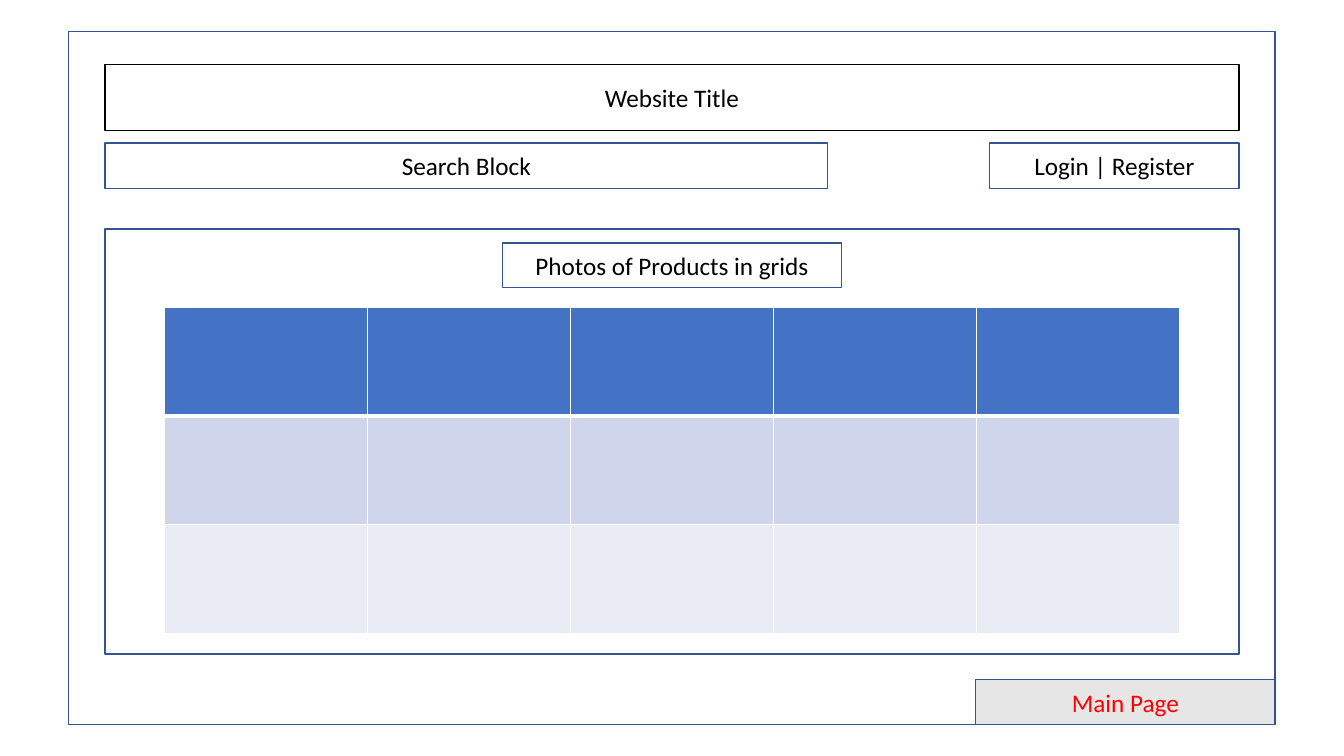
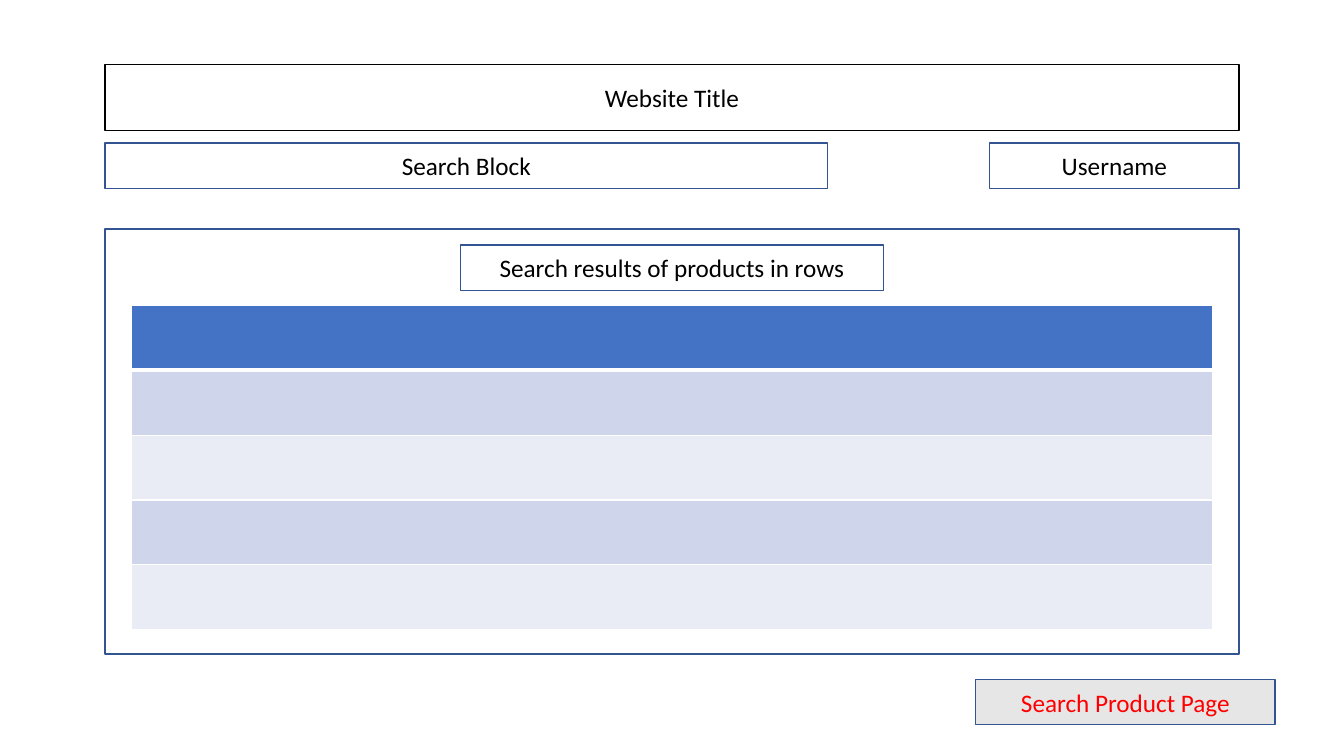
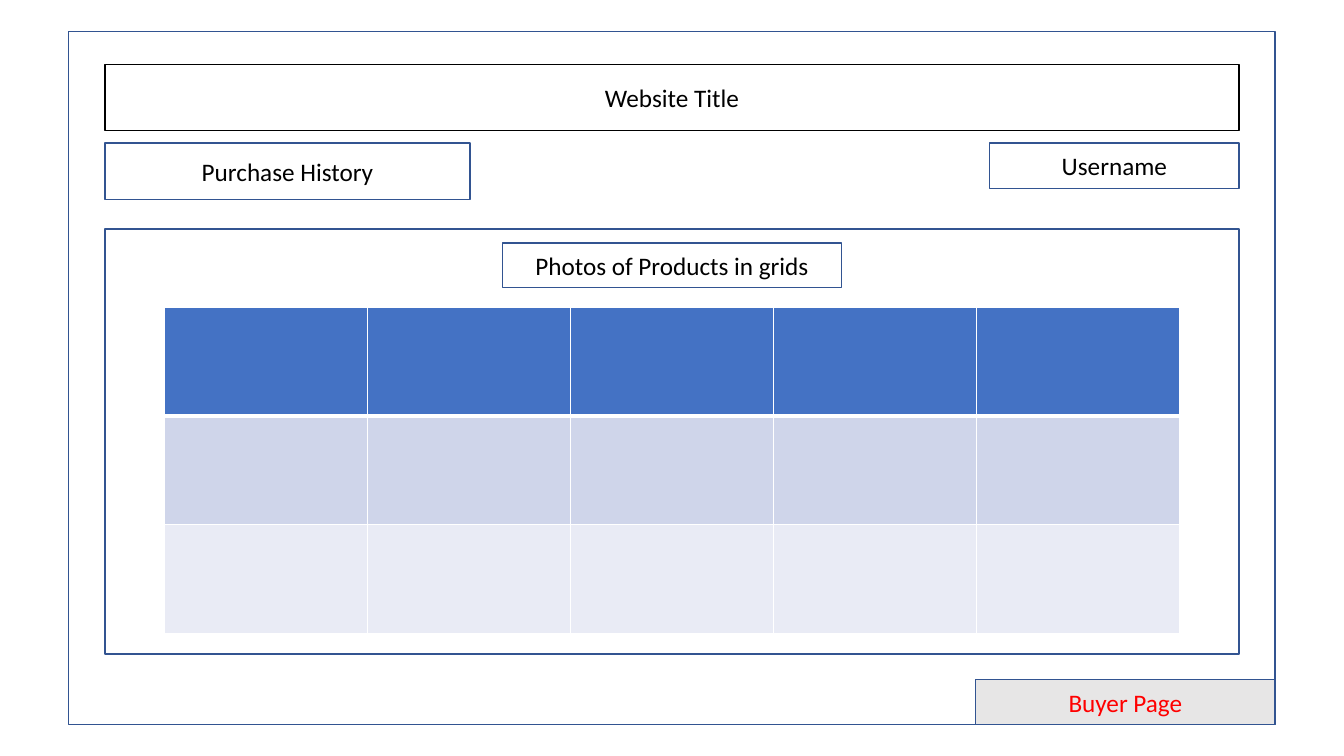
from lxml import etree
from pptx import Presentation
from pptx import util as u
from pptx.dml.color import RGBColor
from pptx.enum import shapes, text
from pptx.oxml.ns import qn

COLORS = {
    "white": "FFFFFF", "black": "000000", "outline": "325491", "red": "FF0000",
    "tag": "E7E6E6", "header": "4472C4", "band": "CFD5EA", "light": "E9EBF5",
}
FONT = "Calibri"
WIDTH, HEIGHT = 960, 540
MARGIN, CONTENT_WIDTH = 75, 810
MENU_TOP, BAR_HEIGHT = 102.2, 32.4


def add_box(slide, bounds, label="", fill="white", line="outline", color="black"):
    box = slide.shapes.add_shape(
        shapes.MSO_SHAPE.RECTANGLE, *[u.Pt(length) for length in bounds])
    box.shadow.inherit = False
    if fill:
        box.fill.solid()
        box.fill.fore_color.rgb = RGBColor.from_string(COLORS[fill])
    else:
        box.fill.background()
    box.line.color.rgb = RGBColor.from_string(COLORS[line])
    box.line.width = u.Pt(1)
    if label:
        frame = box.text_frame
        frame.word_wrap = True
        frame.vertical_anchor = text.MSO_ANCHOR.MIDDLE
        paragraph = frame.paragraphs[0]
        paragraph.text = label
        paragraph.alignment = text.PP_ALIGN.CENTER
        paragraph.font.name = FONT
        paragraph.font.size = u.Pt(18)
        paragraph.font.color.rgb = RGBColor.from_string(COLORS[color])


def add_product_table(slide, top, rows, columns, column_width, row_height):
    width = columns * column_width
    table = slide.shapes.add_table(
        rows, columns, u.Pt((WIDTH - width) / 2), u.Pt(top),
        u.Pt(width), u.Pt(rows * row_height)).table
    for row in range(rows):
        fill = "header" if row == 0 else ("light", "band")[row % 2]
        edges = {"lnL": 1, "lnR": 1,
                 "lnT": 3 if row == 1 else 1, "lnB": 3 if row == 0 else 1}
        for column in range(columns):
            cell = table.cell(row, column)
            properties = cell._tc.get_or_add_tcPr()
            for edge, weight in edges.items():
                border = etree.SubElement(properties, qn("a:" + edge), w=str(u.Pt(weight)))
                solid = etree.SubElement(border, qn("a:solidFill"))
                etree.SubElement(solid, qn("a:srgbClr"), val=COLORS["white"])
            cell.fill.solid()
            cell.fill.fore_color.rgb = RGBColor.from_string(COLORS[fill])


presentation = Presentation()
presentation.slide_width, presentation.slide_height = u.Pt(WIDTH), u.Pt(HEIGHT)

photo_heading = ("Photos of Products in grids", 173.5, 242, 31.8)
result_heading = ("Search results of products in rows", 175, 302.4, BAR_HEIGHT)
photo_grid = (219.8, 3, 5, 145, 77.5)
result_rows = (218.2, 5, 1, 772, 46.3)
search_block = ("Search Block", 516.2, BAR_HEIGHT)
purchase_history = ("Purchase History", 260.8, 40.5)

pages = [
    ("Main Page", True, search_block, "Login | Register", photo_heading, photo_grid),
    ("Search Product Page", False, search_block, "Username", result_heading, result_rows),
    ("Buyer Page", True, purchase_history, "Username", photo_heading, photo_grid),
]

for page_name, framed, menu, account, heading, grid in pages:
    slide = presentation.slides.add_slide(presentation.slide_layouts[6])
    if framed:
        add_box(slide, (49, 22.3, 861.8, 495.4))
    add_box(slide, (MARGIN, 46, CONTENT_WIDTH, 47.2), "Website Title", line="black")
    add_box(slide, (707, MENU_TOP, 178, BAR_HEIGHT), account)
    add_box(slide, (MARGIN, 163.5, CONTENT_WIDTH, 303.6), fill=None)
    menu_label, menu_width, menu_height = menu
    add_box(slide, (MARGIN, MENU_TOP, menu_width, menu_height), menu_label)
    title, top, width, height = heading
    add_box(slide, ((WIDTH - width) / 2, top, width, height), title)
    add_product_table(slide, *grid)
    add_box(slide, (697, 485.3, 213.8, BAR_HEIGHT), page_name, fill="tag", color="red")

presentation.save("out.pptx")
